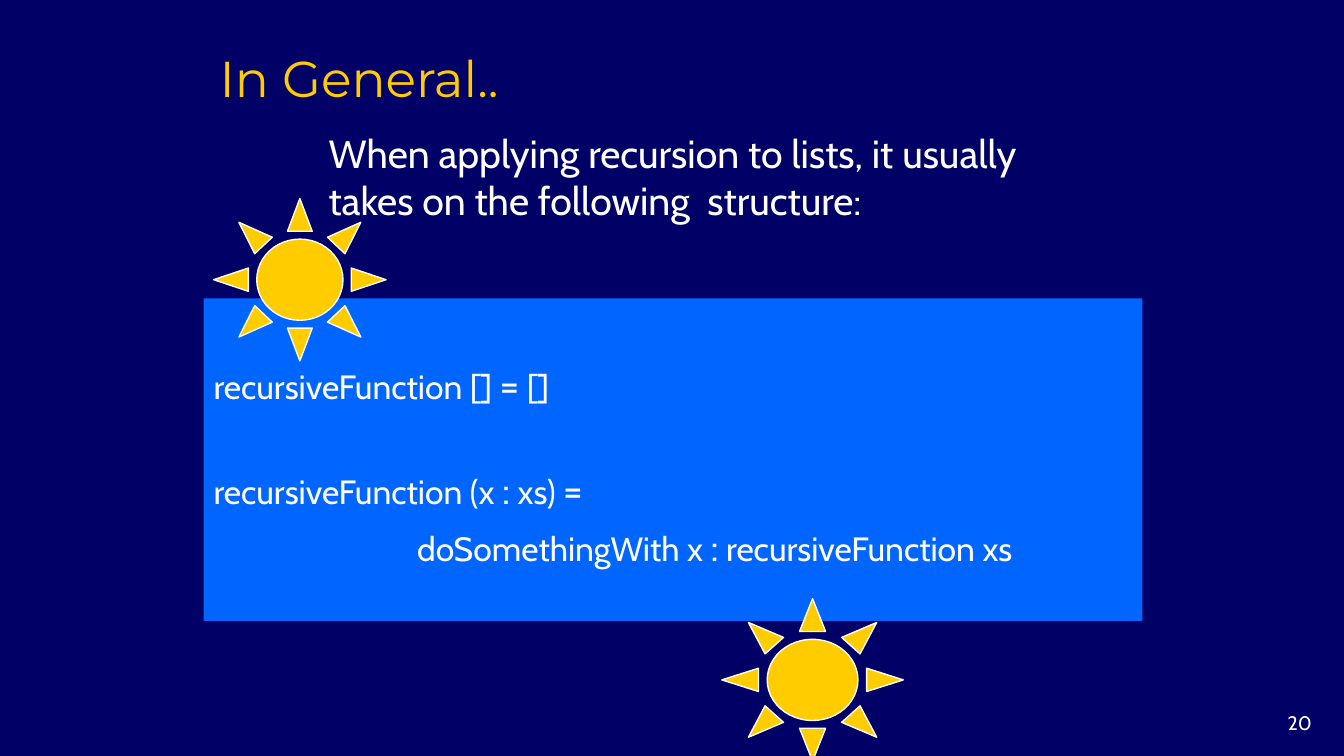
import itertools

import pptx
import pptx.dml.color
import pptx.enum.shapes
import pptx.enum.text
import pptx.util

SLIDE_WIDTH = pptx.util.Inches(13.33)
SLIDE_HEIGHT = pptx.util.Inches(7.5)

NAVY, BLUE, GOLD, WHITE = "000066", "0066FF", "FFCC00", "FFFFFF"
BODY_FONT, TITLE_FONT = "Cabin", "Montserrat"


def color(hex_value):
    return pptx.dml.color.RGBColor.from_string(hex_value)


def across(percent):
    return round(SLIDE_WIDTH * percent / 100)


def down(percent):
    return round(SLIDE_HEIGHT * percent / 100)


def place(box):
    """Turn left, top, width, height in percent of the slide into lengths."""
    left, top, width, height = box
    return across(left), down(top), across(width), down(height)


def style(font, size, hex_value=WHITE, name=BODY_FONT):
    font.size = pptx.util.Pt(size)
    font.name = name
    font.color.rgb = color(hex_value)


def add_text(slide, box, words, size, hex_value=WHITE, name=BODY_FONT,
             align=pptx.enum.text.PP_ALIGN.LEFT):
    frame = slide.shapes.add_textbox(*place(box)).text_frame
    frame.word_wrap = True
    frame.text = words
    paragraph = frame.paragraphs[0]
    paragraph.alignment = align
    style(paragraph.runs[0].font, size, hex_value, name)


def add_filled(slide, kind, box, fill):
    shape = slide.shapes.add_shape(kind, *place(box))
    shape.shadow.inherit = False
    shape.fill.solid()
    shape.fill.fore_color.rgb = color(fill)
    return shape


def add_sun(slide, box):
    sun = add_filled(slide, pptx.enum.shapes.MSO_SHAPE.SUN, box, GOLD)
    sun.line.color.rgb = color(WHITE)
    sun.line.width = pptx.util.Pt(1)


def add_code_panel(slide, box, code_lines):
    """Each line is (code, space before in points, indent in percent)."""
    panel = add_filled(slide, pptx.enum.shapes.MSO_SHAPE.RECTANGLE, box, BLUE)
    panel.line.fill.background()
    frame = panel.text_frame
    frame.word_wrap = True
    frame.vertical_anchor = pptx.enum.text.MSO_ANCHOR.MIDDLE
    for index, (code, gap, indent) in enumerate(code_lines):
        line = frame.add_paragraph() if index else frame.paragraphs[0]
        line.alignment = pptx.enum.text.PP_ALIGN.LEFT
        line.line_spacing = 1.2
        if gap:
            line.space_before = pptx.util.Pt(gap)
        if indent:
            line._p.get_or_add_pPr().set("marL", str(across(indent)))
        # Operators are set larger than the code around them
        for is_operator, letters in itertools.groupby(code, lambda c: c in ":="):
            run = line.add_run()
            run.text = "".join(letters)
            style(run.font, 28 if is_operator else 24)


def build_recursion_slide(deck):
    slide = deck.slides.add_slide(deck.slide_layouts[6])
    slide.background.fill.solid()
    slide.background.fill.fore_color.rgb = color(NAVY)

    # Page number
    add_text(slide, (91.67, 93.33, 6.68, 4.4), "20", 14,
             align=pptx.enum.text.PP_ALIGN.RIGHT)

    # General form of a recursive list function
    add_code_panel(slide, (15.15, 39.47, 69.84, 42.67), [
        ("recursiveFunction [] = []", 0, 0),
        ("recursiveFunction (x : xs) =", 35, 0),
        ("doSomethingWith x : recursiveFunction xs", 0, 15.15),
    ])

    # Introduction
    add_text(slide, (23.71, 16.4, 54.16, 13.87),
             "When applying recursion to lists, it usually takes on "
             "the following  structure:", 28)

    # Suns at the panel's upper and lower edges
    add_sun(slide, (15.9, 26.27, 12.83, 21.47))
    add_sun(slide, (53.71, 79.2, 13.5, 21.47))

    # Title
    add_text(slide, (15.6, 5.6, 64.59, 12.53), "In General..", 36,
             GOLD, TITLE_FONT)


def main():
    deck = pptx.Presentation()
    deck.slide_width = SLIDE_WIDTH
    deck.slide_height = SLIDE_HEIGHT
    build_recursion_slide(deck)
    deck.save("out.pptx")


if __name__ == "__main__":
    main()
